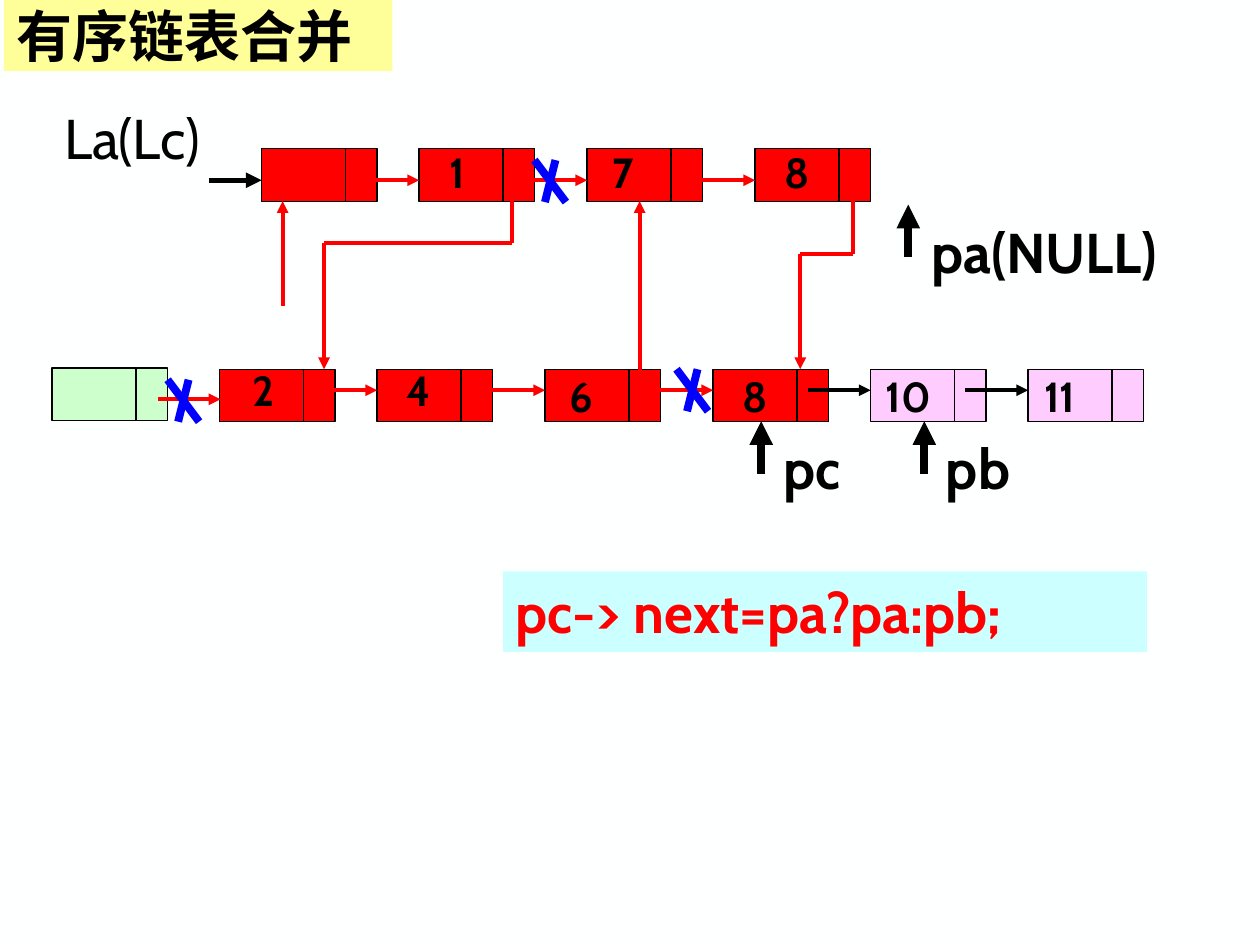
"""Build a slide on merging two sorted linked lists."""
import dataclasses

import lxml.etree
import pptx
import pptx.dml.color
import pptx.enum.shapes
import pptx.enum.text
import pptx.oxml.ns
import pptx.util

Pt = pptx.util.Pt
qn = pptx.oxml.ns.qn


@dataclasses.dataclass(frozen=True)
class Theme:
    """Colours, faces and type sizes."""
    paper: str = "FEFFFF"
    ink: str = "000000"
    red: str = "FF0000"
    blue: str = "0000FF"
    pink: str = "FFCCFF"
    green: str = "CCFFCC"
    yellow: str = "FFFF99"
    cyan: str = "CCFFFF"
    latin: str = "Cabin"
    han: str = "Noto Sans CJK SC"
    large: int = 32
    small: int = 24


THEME = Theme()
TOP, LOW = 85, 211


def paint(fill, hue):
    """Give a fill one solid colour."""
    fill.solid()
    fill.fore_color.rgb = pptx.dml.color.RGBColor.from_string(hue)


def write(shape, text, size, hue=THEME.ink, bold=True, face=THEME.latin, wrap=True):
    """Put one formatted line of text in a shape."""
    frame = shape.text_frame
    frame.word_wrap = wrap
    frame.auto_size = pptx.enum.text.MSO_AUTO_SIZE.NONE
    frame.margin_left = frame.margin_right = Pt(7.2)
    frame.margin_top = frame.margin_bottom = Pt(3.6)
    frame.text = text
    line = frame.paragraphs[0]
    line.alignment = pptx.enum.text.PP_ALIGN.LEFT
    font = line.font
    font.size, font.bold, font.name = Pt(size), bold, face
    paint(font.fill, hue)
    props = line._p.pPr.find(qn("a:defRPr"))
    lxml.etree.SubElement(props, qn("a:ea")).set("typeface", face)


def label(shapes, text, x, y, w, h=46, size=THEME.large, bold=True, wrap=False):
    """Add a text box."""
    box = shapes.add_textbox(Pt(x), Pt(y), Pt(w), Pt(h))
    write(box, text, size, bold=bold, wrap=wrap)


def rect(shapes, x, y, w, h, hue, edge=None):
    """Add a filled rectangle, outlined if an edge colour is given."""
    kind = pptx.enum.shapes.MSO_SHAPE.RECTANGLE
    box = shapes.add_shape(kind, Pt(x), Pt(y), Pt(w), Pt(h))
    box.shadow.inherit = False
    paint(box.fill, hue)
    if edge:
        paint(box.line.fill, edge)
        box.line.width = Pt(0.75)
    else:
        box.line.fill.background()
    return box


def node(shapes, x, y, hue):
    """Add a list node with its data and pointer cells."""
    group = shapes.add_group_shape().shapes
    rect(group, x, y, 48, 30, hue, THEME.ink)
    rect(group, x + 48, y, 18, 30, hue, THEME.ink)


def link(shapes, start, end, hue=THEME.red, width=2.25, head=True):
    """Add a straight line, with an arrowhead unless told otherwise."""
    kind = pptx.enum.shapes.MSO_CONNECTOR.STRAIGHT
    line = shapes.add_connector(kind, *(Pt(n) for n in (*start, *end)))
    paint(line.line.fill, hue)
    line.line.width = Pt(width)
    props = line._element.spPr
    if head:
        lxml.etree.SubElement(props.find(qn("a:ln")), qn("a:tailEnd")).set("type", "triangle")
    lxml.etree.SubElement(props, qn("a:effectLst"))


def route(shapes, spots):
    """Join spots with lines, the last one an arrow."""
    last = len(spots) - 2
    for i, (start, end) in enumerate(zip(spots, spots[1:])):
        link(shapes, start, end, head=i == last)


def cross(shapes, x, y):
    """Strike out a broken link."""
    group = shapes.add_group_shape().shapes
    for start, end in ((12, 6), (0, 18)):
        link(group, (x + start, y), (x + end, y + 24), THEME.blue, 4.5, False)


def chain(shapes, y, lift, cells):
    """Draw a row of nodes with values and the links between them."""
    for x, hue, *_ in cells:
        node(shapes, x, y, hue)
    for x, hue, *_ in cells[1:]:
        tint = THEME.ink if hue == THEME.pink else THEME.red
        link(shapes, (x - 36, y + lift), (x, y + lift), tint)
    for x, _, text, dx, dy in cells:
        if text:
            wide = 28 if len(text) == 1 else 42
            label(shapes, text, x + dx, y + dy, wide, 36, THEME.small)


def mark(shapes, text, x, y, dx, dy, w, wrap=False):
    """Draw a named pointer with its arrow."""
    label(shapes, text, x + dx, y + dy, w, wrap=wrap)
    link(shapes, (x, y + 30), (x, y), THEME.ink, 4.5)


def head(slide):
    """Place and format the title."""
    title = slide.shapes.title
    title.left, title.top, title.width, title.height = Pt(2.2), Pt(0), Pt(222), Pt(40.5)
    paint(title.fill, THEME.yellow)
    write(title, "有序链表合并", THEME.large, face=THEME.han)
    title.text_frame.vertical_anchor = pptx.enum.text.MSO_ANCHOR.MIDDLE


def main():
    """Build and save the slide."""
    deck = pptx.Presentation()
    deck.slide_width, deck.slide_height = Pt(720), Pt(540)
    slide = deck.slides.add_slide(deck.slide_layouts[5])
    paint(slide.background.fill, THEME.paper)
    head(slide)
    shapes = slide.shapes
    red, pink = THEME.red, THEME.pink
    chain(shapes, TOP, 18, [
        (149.5, red, "", 0, 0), (239.5, red, "1", 10.3, -5),
        (335.5, red, "7", 7.2, -5), (431.5, red, "8", 10, -5)])
    chain(shapes, LOW, 12, [
        (125.5, red, "2", 12, -6), (215.5, red, "4", 10, -6),
        (311.5, red, "6", 6.7, -3), (407.5, red, "8", 10, -3),
        (497.5, pink, "10", 1.5, -3), (587.5, pink, "11", 2.2, -3)])
    node(shapes, 29.8, 210.3, THEME.green)
    link(shapes, (90, 228.2), (126, 228.2))
    link(shapes, (119.5, 103), (149.5, 103), THEME.ink, 3)
    for spots in (
        [(161.5, 175), (161.5, 115)],
        [(292.4, 103), (292.4, 139), (185.2, 139), (185.2, LOW)],
        [(365.5, 223), (365.5, 115)],
        [(487.3, 103), (487.3, 145), (457.3, 145), (457.3, LOW)],
    ):
        route(shapes, spots)
    for x, y in ((305.4, 91.5), (386.6, 211), (95.8, 217)):
        cross(shapes, x, y)
    label(shapes, "La(Lc)", 29.5, 55.5, 106.5, bold=False, wrap=True)
    mark(shapes, "pa(NULL)", 519, 117, 6, 4, 181.5, True)
    mark(shapes, "pb", 528.2, 240.7, 5.3, 3.4, 54.7)
    mark(shapes, "pc", 435, 240.7, 5.6, 3.4, 51)
    code = rect(shapes, 287.5, 326.5, 368, 46, THEME.cyan)
    write(code, "pc-> next=pa?pa:pb;", THEME.large, red)
    code.text_frame.vertical_anchor = pptx.enum.text.MSO_ANCHOR.TOP
    deck.save("out.pptx")


if __name__ == "__main__":
    main()
